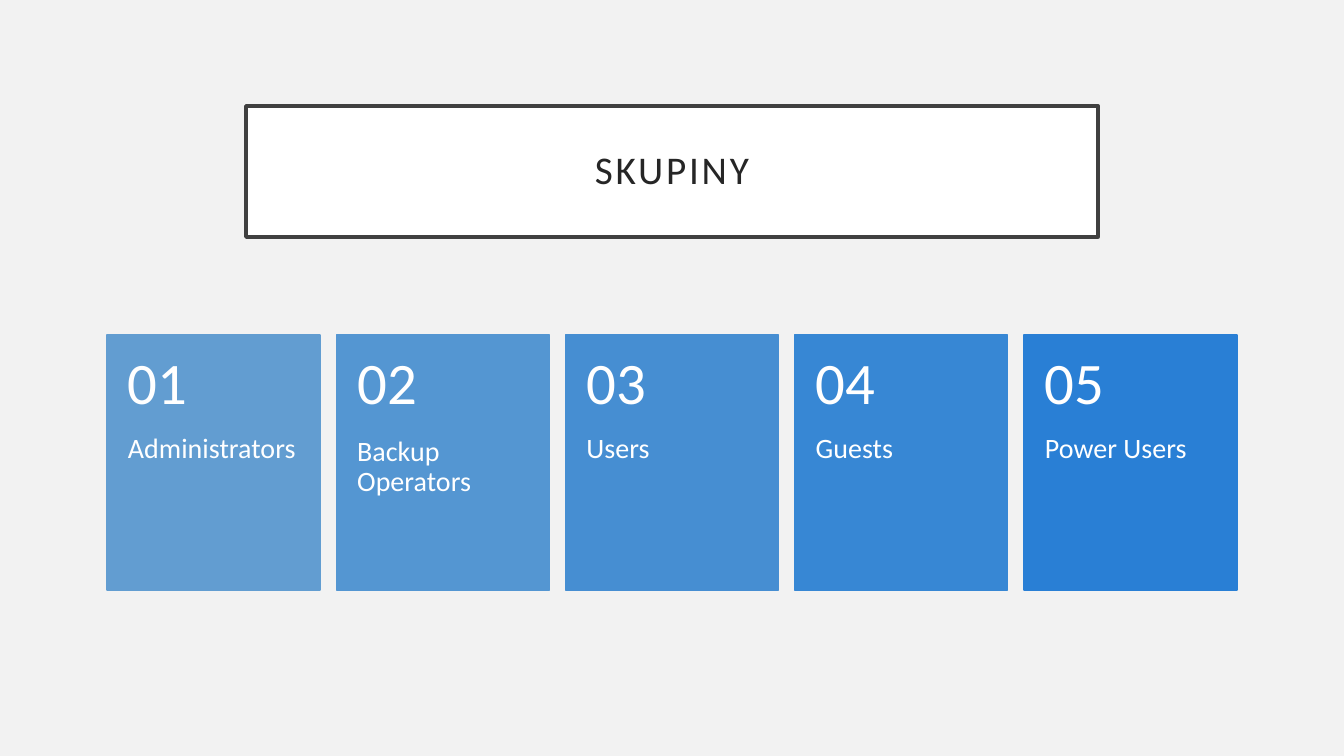
from pptx import Presentation
from pptx.dml.color import RGBColor
from pptx.enum.shapes import MSO_SHAPE
from pptx.enum.text import MSO_ANCHOR, PP_ALIGN
from pptx.util import Pt

RECTANGLE = MSO_SHAPE.RECTANGLE
TOP, MIDDLE = MSO_ANCHOR.TOP, MSO_ANCHOR.MIDDLE
LEFT, CENTER = PP_ALIGN.LEFT, PP_ALIGN.CENTER

EMU_PER_PX = 914400 / 100.8
FONT = "Calibri"
TITLE_ONLY_LAYOUT = 5

CARDS_LEFT, CARDS_TOP = 107, 335
LAST_CARD_LEFT = 1024
CARD_WIDTH, CARD_HEIGHT = 213, 255
NUMBER_HEIGHT = 102

GROUPS = [
    ("Administrators", "629DD1"),
    ("Backup Operators", "5496D2"),
    ("Users", "468ED2"),
    ("Guests", "3787D4"),
    ("Power Users", "297FD5"),
]


def px(length):
    return round(length * EMU_PER_PX)


def color(hex_string):
    return RGBColor.from_string(hex_string)


def paint(shape, fill, line, line_width):
    shape.fill.solid()
    shape.fill.fore_color.rgb = color(fill)
    shape.line.color.rgb = color(line)
    shape.line.width = Pt(line_width)


def write(shape, text, size, text_color, insets, anchor=TOP, align=LEFT):
    """Set one paragraph; insets are left, top, right, bottom in px."""
    frame = shape.text_frame
    frame.text = text
    frame.word_wrap = True
    frame.vertical_anchor = anchor
    (frame.margin_left, frame.margin_top,
     frame.margin_right, frame.margin_bottom) = map(px, insets)
    para = frame.paragraphs[0]
    para.alignment = align
    para.line_spacing = 0.9
    span = para.runs[0]
    span.font.name = FONT
    span.font.size = Pt(size)
    span.font.color.rgb = color(text_color)
    return span


def add_title(page, text):
    title = page.shapes.title
    title.left, title.top, title.width, title.height = map(px, (246, 106, 852, 131))
    paint(title, "FFFFFF", "404040", 2.5)
    span = write(title, text, 28, "262626", (20, 20, 20, 20), MIDDLE, CENTER)
    span.font._element.set("spc", "200")


def add_card(cards, left, number, name, fill):
    card = cards.shapes.add_shape(
        RECTANGLE, px(left), px(CARDS_TOP), px(CARD_WIDTH), px(CARD_HEIGHT))
    card.shadow.inherit = False
    paint(card, fill, fill, 1)

    name_box = cards.shapes.add_textbox(
        px(left), px(CARDS_TOP + NUMBER_HEIGHT),
        px(CARD_WIDTH), px(CARD_HEIGHT - NUMBER_HEIGHT))
    write(name_box, name, 20, "FFFFFF", (21, 0, 21, 36))

    number_box = cards.shapes.add_textbox(
        px(left), px(CARDS_TOP), px(CARD_WIDTH), px(NUMBER_HEIGHT))
    write(number_box, f"{number:02}", 42, "FFFFFF", (21, 18, 21, 18), MIDDLE)


def main():
    deck = Presentation()
    deck.slide_width, deck.slide_height = px(1344), px(756)
    page = deck.slides.add_slide(deck.slide_layouts[TITLE_ONLY_LAYOUT])
    page.background.fill.solid()
    page.background.fill.fore_color.rgb = color("F2F2F2")

    add_title(page, "SKUPINY")
    cards = page.shapes.add_group_shape()
    pitch = (LAST_CARD_LEFT - CARDS_LEFT) / (len(GROUPS) - 1)
    for index, (name, fill) in enumerate(GROUPS):
        add_card(cards, CARDS_LEFT + index * pitch, index + 1, name, fill)

    deck.save("out.pptx")


if __name__ == "__main__":
    main()
